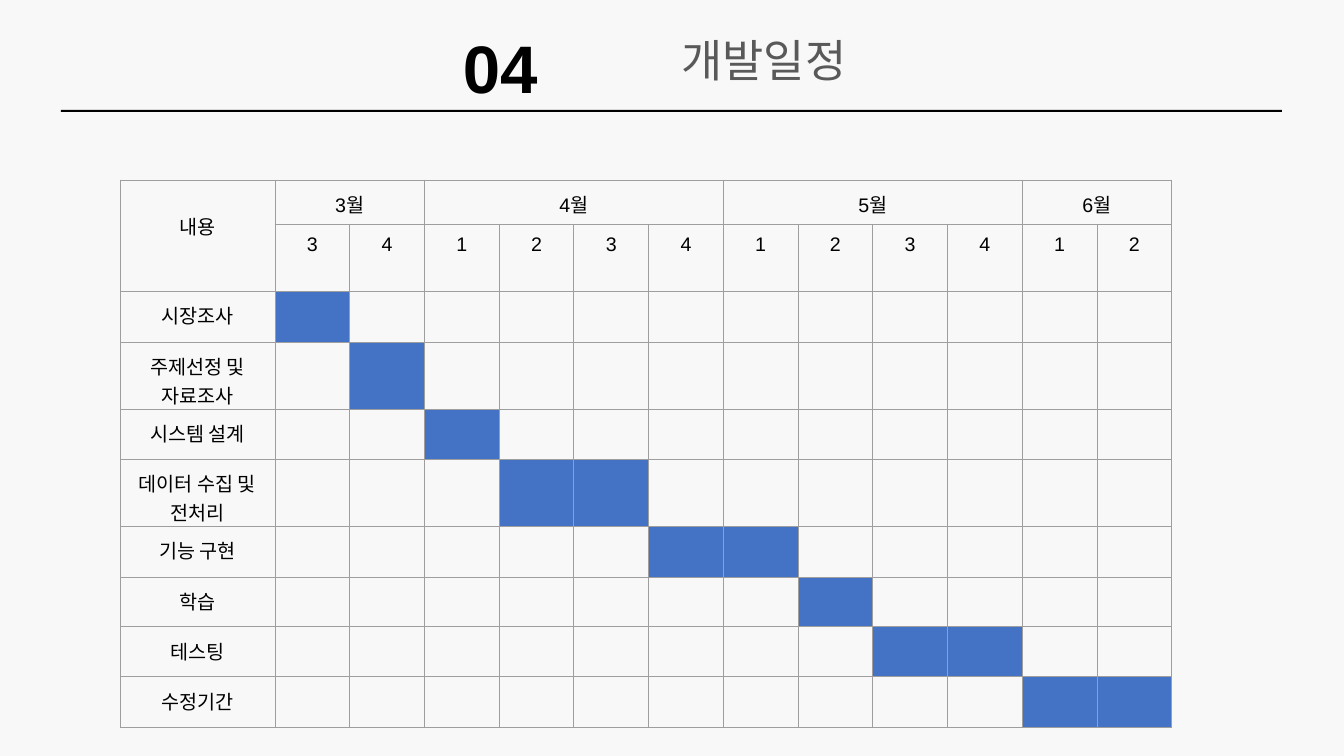
from lxml.etree import SubElement
from pptx import Presentation
from pptx.dml.color import RGBColor
from pptx.enum.shapes import MSO_SHAPE
from pptx.enum.text import MSO_ANCHOR, PP_ALIGN
from pptx.oxml.ns import qn
from pptx.util import Emu, Pt

EMU_PER_PX = 914400 / 100.8
COLORS = {
    "background": "F8F8F8",
    "black": "000000",
    "title": "595959",
    "bar": "4472C4",
    "border": "9E9E9E",
}
MONTHS = [("3월", [3, 4]), ("4월", [1, 2, 3, 4]), ("5월", [1, 2, 3, 4]), ("6월", [1, 2])]
# Task name, first week column, number of weeks, row height
TASKS = [
    ("시장조사", 1, 1, 51),
    ("주제선정 및 자료조사", 2, 1, 67),
    ("시스템 설계", 3, 1, 50),
    ("데이터 수집 및 전처리", 4, 2, 67),
    ("기능 구현", 6, 2, 51),
    ("학습", 8, 1, 50),
    ("테스팅", 9, 2, 50),
    ("수정기간", 11, 2, 51),
]
HEADER_HEIGHTS = [44, 67]
TASK_WIDTH, WEEKS_WIDTH = 155, 897
CELL_MARGIN = 10


def px(value):
    return Emu(round(value * EMU_PER_PX))


def write(text_frame, text, size, color="black", bold=False, align=PP_ALIGN.CENTER):
    paragraph = text_frame.paragraphs[0]
    paragraph.alignment = align
    run = paragraph.add_run()
    run.text = text
    for name, value in {"name": "Arial", "size": Pt(size), "bold": bold}.items():
        setattr(run.font, name, value)
    run.font.color.rgb = RGBColor.from_string(COLORS[color])


presentation = Presentation()
presentation.slide_width, presentation.slide_height = px(1344), px(756)
slide = presentation.slides.add_slide(presentation.slide_layouts[6])
slide.background.fill.solid()
slide.background.fill.fore_color.rgb = RGBColor.from_string(COLORS["background"])

# Heading
rule = slide.shapes.add_shape(MSO_SHAPE.RECTANGLE, px(61), px(110), px(1221), px(2))
rule.shadow.inherit = False
rule.fill.solid()
rule.fill.fore_color.rgb = RGBColor.from_string(COLORS["black"])
rule.line.fill.background()

number = slide.shapes.add_textbox(px(453), px(21), px(97), px(92))
write(number.text_frame, "04", 48, bold=True, align=PP_ALIGN.LEFT)
title = slide.shapes.add_textbox(px(479), px(28), px(570), px(65))
title.text_frame.word_wrap = True
write(title.text_frame, "개발일정", 32, "title")

# Schedule table
heights = HEADER_HEIGHTS + [height for *_, height in TASKS]
week_count = sum(len(weeks) for _, weeks in MONTHS)
table = slide.shapes.add_table(
    len(heights), week_count + 1, px(120), px(180), px(TASK_WIDTH + WEEKS_WIDTH), px(sum(heights))
).table
table.first_row = table.horz_banding = False
for row, height in zip(table.rows, heights):
    row.height = px(height)
for index, column in enumerate(table.columns):
    column.width = px(WEEKS_WIDTH / week_count if index else TASK_WIDTH)

cell_format = {
    "margin_left": px(CELL_MARGIN),
    "margin_right": px(CELL_MARGIN),
    "margin_top": px(CELL_MARGIN),
    "margin_bottom": px(CELL_MARGIN),
    "vertical_anchor": MSO_ANCHOR.TOP,
}
for cell in table.iter_cells():
    for name, value in cell_format.items():
        setattr(cell, name, value)
    cell.text_frame.paragraphs[0].font.size = Pt(14)
    properties = cell._tc.get_or_add_tcPr()
    for side in ("a:lnL", "a:lnR", "a:lnT", "a:lnB"):
        border = SubElement(properties, qn(side), w=str(Pt(0.75)))
        fill = SubElement(border, qn("a:solidFill"))
        SubElement(fill, qn("a:srgbClr"), val=COLORS["border"])
    cell.fill.background()

corner = table.cell(0, 0)
corner.merge(table.cell(1, 0))
corner.margin_top = px(32)
write(corner.text_frame, "내용", 14)

first = 1
for month, weeks in MONTHS:
    month_cell = table.cell(0, first)
    month_cell.merge(table.cell(0, first + len(weeks) - 1))
    write(month_cell.text_frame, month, 14)
    for column, week in enumerate(weeks, first):
        write(table.cell(1, column).text_frame, str(week), 14)
    first += len(weeks)

for row, (task, start, duration, _) in enumerate(TASKS, len(HEADER_HEIGHTS)):
    write(table.cell(row, 0).text_frame, task, 14)
    for column in range(start, start + duration):
        bar = table.cell(row, column)
        bar.fill.solid()
        bar.fill.fore_color.rgb = RGBColor.from_string(COLORS["bar"])

presentation.save("out.pptx")
